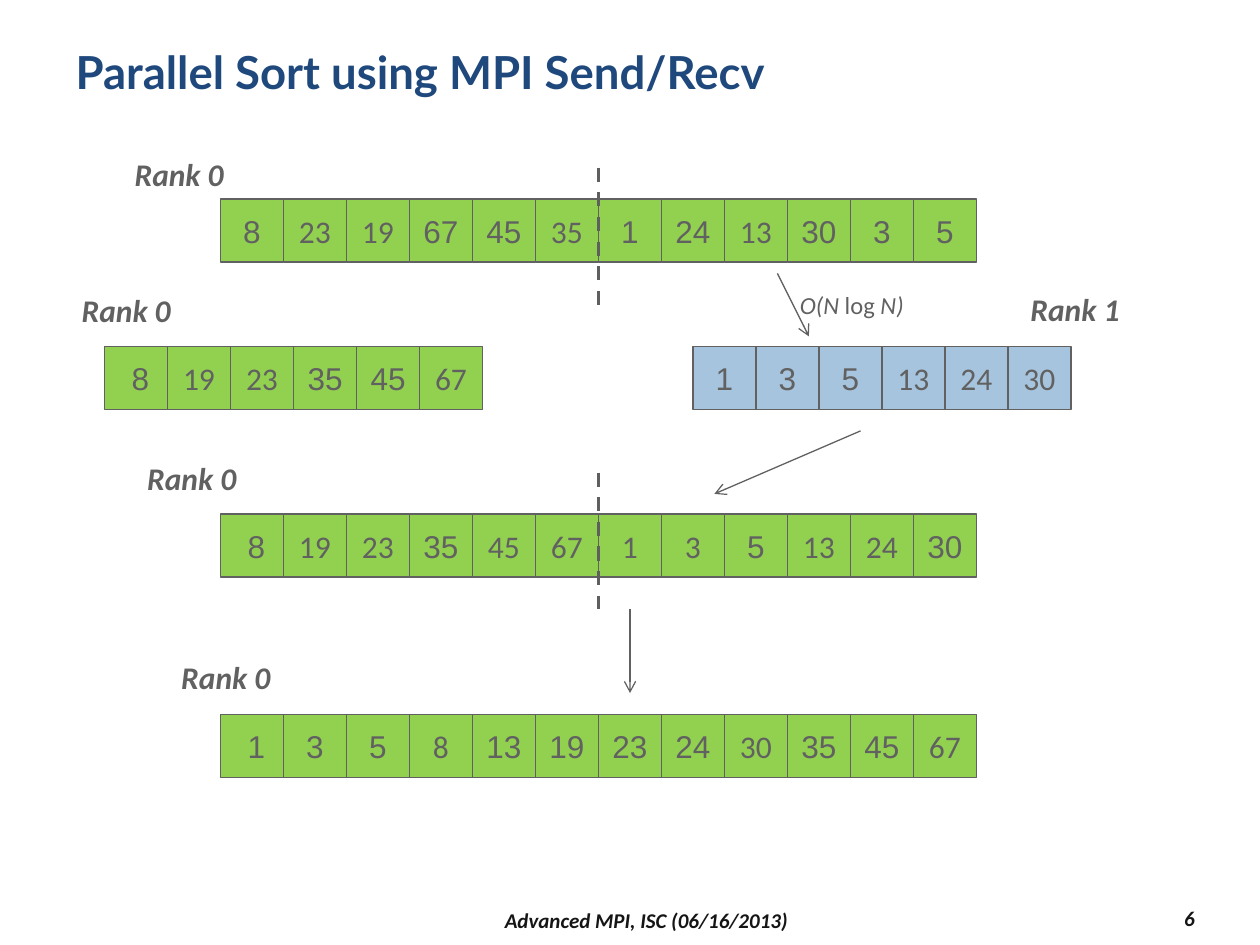
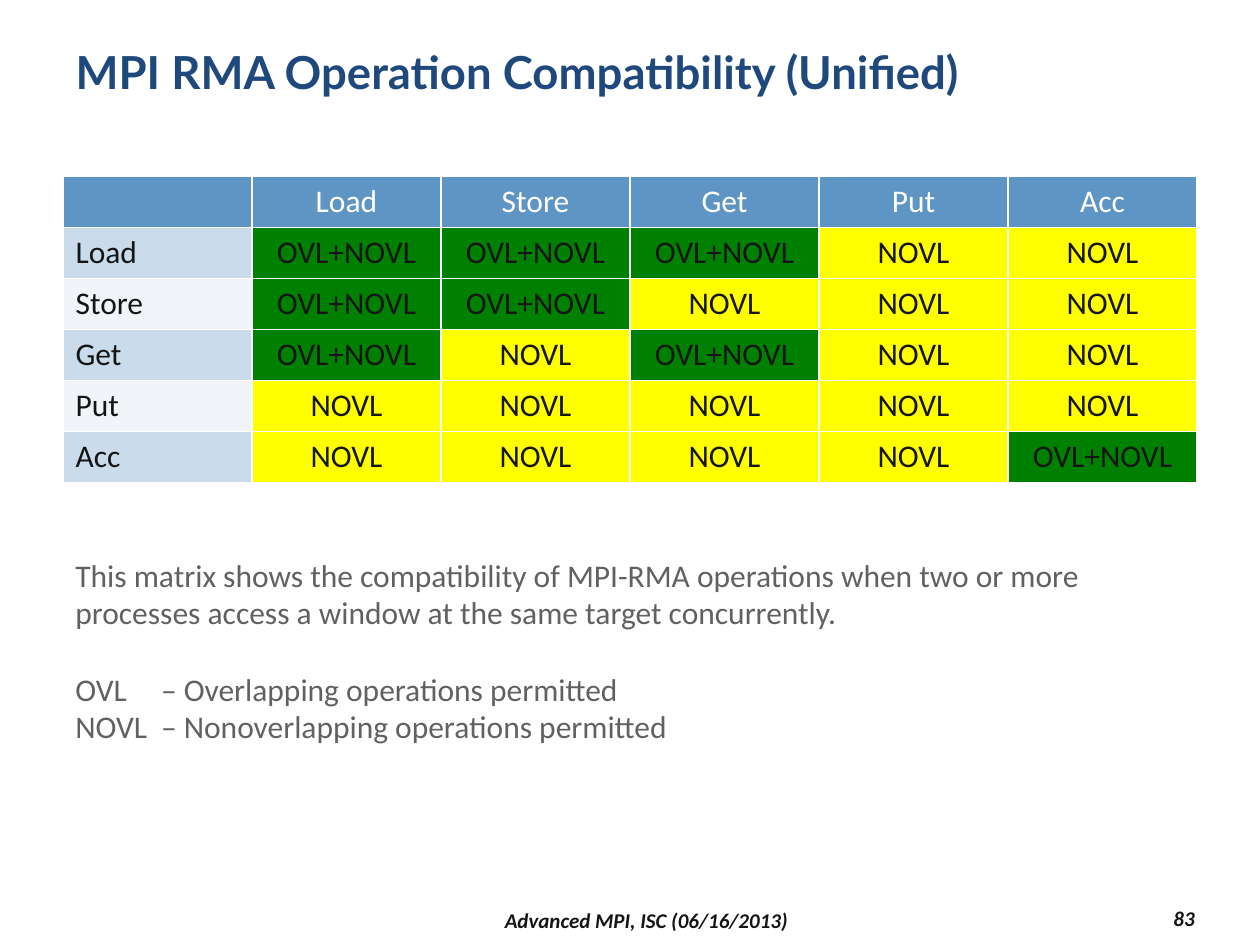
"""Build two slides on MPI: a parallel sort diagram and an RMA compatibility table."""
import lxml.etree
import pptx
import pptx.dml.color
import pptx.enum.dml
import pptx.enum.shapes
import pptx.enum.text
import pptx.oxml
import pptx.oxml.ns
import pptx.util

Inches = pptx.util.Inches
Pt = pptx.util.Pt
RGBColor = pptx.dml.color.RGBColor
Align = pptx.enum.text.PP_ALIGN
Anchor = pptx.enum.text.MSO_ANCHOR
qualified = pptx.oxml.ns.qn

NAVY = RGBColor(0x1F, 0x49, 0x7D)
GRAY = RGBColor(0x61, 0x61, 0x61)
DASH_GRAY = RGBColor(0x5F, 0x5F, 0x5F)
INK = RGBColor(0x15, 0x15, 0x15)
WHITE = RGBColor(0xFF, 0xFF, 0xFF)
LIME = RGBColor(0x92, 0xD0, 0x50)
SKY = RGBColor(0xA6, 0xC4, 0xDE)
HEADER_BLUE = RGBColor(0x5F, 0x95, 0xC4)
BAND_DARK = RGBColor(0xCA, 0xDC, 0xEB)
BAND_LIGHT = RGBColor(0xF1, 0xF5, 0xF9)
GREEN = RGBColor(0x00, 0x80, 0x00)
YELLOW = RGBColor(0xFF, 0xFF, 0x00)

TITLE = {"name": "Lato", "size": Pt(26), "bold": True, "italic": False}
BODY = {"name": "Calibri", "size": Pt(18), "bold": False, "italic": False}
NUMBER = BODY | {"name": "Arial"}
RANK = BODY | {"bold": True, "italic": True}
COST = BODY | {"size": Pt(14)}
FOOTER = RANK | {"size": Pt(12)}

FOOTER_TEXT = "Advanced MPI, ISC (06/16/2013)"
CELL = 0.5


class SlideBuilder:
    def __init__(self, deck):
        self.deck = deck
        self.page = None

    def start(self, title, number):
        self.page = self.deck.slides.add_slide(self.deck.slide_layouts[5])
        box = self.page.shapes.title
        geometry = {"left": 0.5, "top": 0.3, "width": 9, "height": 0.87}
        for name, value in geometry.items():
            setattr(box, name, Inches(value))
        frame = box.text_frame
        frame.vertical_anchor = Anchor.TOP
        frame.auto_size = pptx.enum.text.MSO_AUTO_SIZE.NONE
        self.add_span(frame.paragraphs[0], title, TITLE, NAVY, Align.LEFT)
        self.footer(8.5, 7.15, 1.08, str(number), Align.RIGHT)
        self.footer(2.17, 7.17, 5.92, FOOTER_TEXT, Align.CENTER)

    def add_span(self, para, text, style, color, align=Align.LEFT):
        para.alignment = align
        span = para.add_run()
        span.text = text
        for name, value in style.items():
            setattr(span.font, name, value)
        span.font.color.rgb = color

    def text_frame(self, left, top, width, height, wrap=True):
        box = self.page.shapes.add_textbox(
            Inches(left), Inches(top), Inches(width), Inches(height))
        box.text_frame.word_wrap = wrap
        return box.text_frame

    def footer(self, left, top, width, text, align):
        frame = self.text_frame(left, top, width, 0.27)
        frame.vertical_anchor = Anchor.MIDDLE
        self.add_span(frame.paragraphs[0], text, FOOTER, INK, align)

    def label(self, left, top, width, height, spans):
        frame = self.text_frame(left, top, width, height, wrap=False)
        for text, style in spans:
            self.add_span(frame.paragraphs[0], text, style, GRAY)

    def array(self, left, top, values, calibri_places, fill):
        for place, value in enumerate(values):
            box = self.page.shapes.add_shape(
                pptx.enum.shapes.MSO_SHAPE.RECTANGLE,
                Inches(left + place * CELL), Inches(top), Inches(CELL), Inches(CELL))
            box.shadow.inherit = False
            box.fill.solid()
            box.fill.fore_color.rgb = fill
            box.line.color.rgb = GRAY
            box.line.width = Pt(0.75)
            frame = box.text_frame
            frame.vertical_anchor = Anchor.MIDDLE
            style = BODY if place in calibri_places else NUMBER
            self.add_span(frame.paragraphs[0], value, style, GRAY, Align.CENTER)

    def line(self, start, end, color, width):
        line = self.page.shapes.add_connector(
            pptx.enum.shapes.MSO_CONNECTOR.STRAIGHT,
            *(Inches(value) for value in start + end))
        line.line.color.rgb = color
        line.line.width = Pt(width)
        properties = line._element.spPr
        lxml.etree.SubElement(properties, qualified("a:effectLst"))
        return line

    def arrow(self, start, end):
        line = self.line(start, end, GRAY, 0.75)
        outline = line._element.spPr.find(qualified("a:ln"))
        lxml.etree.SubElement(outline, qualified("a:tailEnd"), type="arrow")

    def divider(self, left, top, bottom):
        line = self.line((left, top), (left, bottom), DASH_GRAY, 2)
        line.line.dash_style = pptx.enum.dml.MSO_LINE.DASH

    def table(self, left, top, width, height, rows):
        frame = self.page.shapes.add_table(
            len(rows), len(rows[0]),
            Inches(left), Inches(top), Inches(width), Inches(height))
        for row, texts in enumerate(rows):
            for column, text in enumerate(texts):
                cell = frame.table.cell(row, column)
                cell.fill.solid()
                cell.fill.fore_color.rgb = cell_fill(row, column, text)
                self.border(cell)
                if text:
                    self.add_span(cell.text_frame.paragraphs[0], text, BODY,
                                  INK if row else WHITE,
                                  Align.CENTER if column else Align.LEFT)

    def border(self, cell):
        properties = cell._tc.get_or_add_tcPr()
        for place, side in enumerate(("lnL", "lnR", "lnT", "lnB")):
            edge = pptx.oxml.parse_xml(
                f'<a:{side} {pptx.oxml.ns.nsdecls("a")} w="{Pt(1)}">'
                f'<a:solidFill><a:srgbClr val="{WHITE}"/></a:solidFill></a:{side}>')
            properties.insert(place, edge)

    def tab_stop(self, para, position):
        tabs = lxml.etree.SubElement(
            para._p.get_or_add_pPr(), qualified("a:tabLst"))
        lxml.etree.SubElement(
            tabs, qualified("a:tab"), pos=str(Inches(position)), algn="l")


def cell_fill(row, column, text):
    if row == 0:
        return HEADER_BLUE
    if column == 0:
        return BAND_DARK if row % 2 else BAND_LIGHT
    return GREEN if text.startswith("OVL") else YELLOW


def build_sort(builder):
    builder.start("Parallel Sort using MPI Send/Recv", 6)
    arrays = [
        (1.75, 1.58, "8 23 19 67 45 35 1 24 13 30 3 5", {1, 2, 5, 8}, LIME),
        (0.83, 2.75, "8 19 23 35 45 67", {1, 2, 5}, LIME),
        (5.5, 2.75, "1 3 5 13 24 30", {3, 4, 5}, SKY),
        (1.75, 4.08, "8 19 23 35 45 67 1 3 5 13 24 30",
         {1, 2, 4, 5, 6, 7, 9, 10}, LIME),
        (1.75, 5.67, "1 3 5 8 13 19 23 24 30 35 45 67", {3, 8, 11}, LIME),
    ]
    for left, top, numbers, calibri_places, fill in arrays:
        values = numbers.split()
        if fill == LIME and top > 2:
            values[0] = " " + values[0]
        builder.array(left, top, values, calibri_places, fill)
    ranks = [(0.97, 1.18, 0), (0.55, 2.26, 0), (8.08, 2.25, 1),
             (1.07, 3.59, 0), (1.34, 5.17, 0)]
    for left, top, rank in ranks:
        builder.label(left, top, 1.03, 0.4, [(f"Rank {rank}", RANK)])
    slanted = COST | {"italic": True}
    builder.label(6.25, 2.25, 1.14, 0.34,
                  [("O(N ", slanted), ("log", COST), (" N)", slanted)])
    builder.divider(4.75, 1.33, 2.42)
    builder.divider(4.75, 3.75, 4.83)
    builder.arrow((6.17, 2.17), (6.42, 2.67))
    builder.arrow((6.83, 3.42), (5.67, 3.92))
    builder.arrow((5, 4.83), (5, 5.5))


def build_compatibility(builder):
    builder.start("MPI RMA Operation Compatibility (Unified)", 83)
    operations = ["Load", "Store", "Get", "Put", "Acc"]
    overlapping = {("Load", "Load"), ("Load", "Store"), ("Load", "Get"),
                   ("Store", "Load"), ("Store", "Store"),
                   ("Get", "Load"), ("Get", "Get"), ("Acc", "Acc")}
    rows = [[""] + operations]
    for first in operations:
        rows.append([first] + [
            "OVL+NOVL" if (first, second) in overlapping else "NOVL"
            for second in operations])
    builder.table(0.5, 1.4, 9, 2.43, rows)

    frame = builder.text_frame(0.5, 4.36, 9, 1.62)
    builder.add_span(
        frame.paragraphs[0],
        "This matrix shows the compatibility of MPI-RMA operations when two or "
        "more processes access a window at the same target concurrently.",
        BODY, GRAY)
    legend = [("OVL \t– Overlapping operations permitted", 22),
              ("NOVL \t– Nonoverlapping operations permitted", 0)]
    for text, gap in legend:
        para = frame.add_paragraph()
        para.space_before = Pt(gap)
        builder.add_span(para, text, BODY, GRAY)
        builder.tab_stop(para, 0.68)


def main():
    deck = pptx.Presentation()
    deck.slide_width = Inches(10)
    deck.slide_height = Inches(7.5)
    builder = SlideBuilder(deck)
    build_sort(builder)
    build_compatibility(builder)
    deck.save("out.pptx")


if __name__ == "__main__":
    main()
